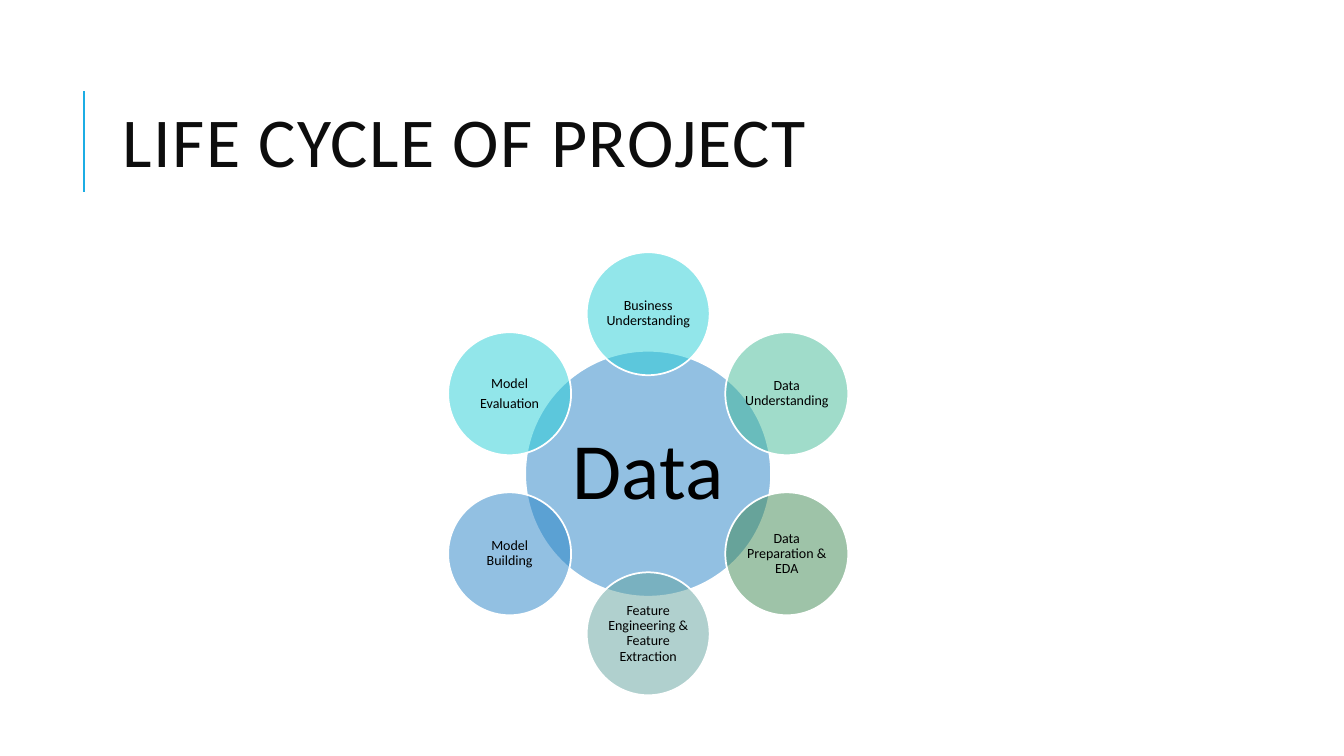
from math import cos, radians, sin

from lxml.etree import SubElement
from pptx import Presentation
from pptx.dml.color import RGBColor
from pptx.enum.shapes import MSO_CONNECTOR, MSO_SHAPE
from pptx.enum.text import MSO_ANCHOR, PP_ALIGN
from pptx.oxml.ns import qn
from pptx.util import Pt

BLACK = RGBColor(0x00, 0x00, 0x00)
WHITE = RGBColor(0xFF, 0xFF, 0xFF)
TITLE_COLOR = RGBColor(0x0D, 0x0D, 0x0D)
ACCENT = RGBColor(0x1C, 0xAD, 0xE4)
BLUE = RGBColor(0x26, 0x83, 0xC6)
TURQUOISE = RGBColor(0x27, 0xCE, 0xD7)
MINT = RGBColor(0x42, 0xBA, 0x97)
GREEN = RGBColor(0x3E, 0x88, 0x53)
TEAL = RGBColor(0x62, 0xA3, 0x9F)

FONT = "Calibri"
CENTER_X, CENTER_Y = 463, 338.4
ORBIT = 114.3
HUB_DIAMETER, STAGE_DIAMETER = 175.7, 87.85

# Clockwise from the top
STAGES = [
    (["Business Understanding"], TURQUOISE),
    (["Data Understanding"], MINT),
    (["Data Preparation & EDA"], GREEN),
    (["Feature Engineering & Feature Extraction"], TEAL),
    (["Model Building"], BLUE),
    (["Model", "Evaluation"], TURQUOISE),
]


def write_paragraph(paragraph, text, size, color, **paragraph_format):
    for name, value in paragraph_format.items():
        setattr(paragraph, name, value)
    run = paragraph.add_run()
    run.text = text
    run.font.name = FONT
    run.font.size = Pt(size)
    run.font.color.rgb = color
    return run


def set_frame(text_frame, inset):
    frame_format = {"word_wrap": True, "vertical_anchor": MSO_ANCHOR.MIDDLE}
    for side in ("left", "top", "right", "bottom"):
        frame_format[f"margin_{side}"] = Pt(inset)
    for name, value in frame_format.items():
        setattr(text_frame, name, value)


def add_title(slide, text):
    box = slide.shapes.add_textbox(Pt(80.6), Pt(46.1), Pt(765.4), Pt(118.1))
    set_frame(box.text_frame, 7.2)
    run = write_paragraph(box.text_frame.paragraphs[0], text, 50, TITLE_COLOR,
                          line_spacing=0.8)
    run.font._element.set("spc", "100")


def add_title_rule(slide):
    rule = slide.shapes.add_connector(
        MSO_CONNECTOR.STRAIGHT, Pt(60), Pt(136.8), Pt(60), Pt(64.8))
    rule.line.color.rgb = ACCENT
    rule.line.width = Pt(1.5)
    SubElement(rule._element.spPr, qn("a:effectLst"))


def add_circle(slide, center_x, center_y, diameter, color, lines, size, inset):
    """Add a half-transparent circle with centred text, one paragraph a line."""
    circle = slide.shapes.add_shape(
        MSO_SHAPE.OVAL, Pt(center_x - diameter / 2), Pt(center_y - diameter / 2),
        Pt(diameter), Pt(diameter))
    circle.shadow.inherit = False
    circle.fill.solid()
    circle.fill.fore_color.rgb = color
    color_element = circle._element.spPr.find(qn("a:solidFill"))[0]
    SubElement(color_element, qn("a:alpha"), val="50000")
    circle.line.color.rgb = WHITE
    circle.line.width = Pt(1.25)

    text_frame = circle.text_frame
    set_frame(text_frame, inset)
    for index, line in enumerate(lines):
        paragraph = text_frame.add_paragraph() if index else text_frame.paragraphs[0]
        write_paragraph(paragraph, line, size, BLACK, alignment=PP_ALIGN.CENTER,
                        line_spacing=0.9, space_before=Pt(3.5 if index else 0))


def add_cycle(slide):
    add_circle(slide, CENTER_X, CENTER_Y, HUB_DIAMETER, BLUE, ["Data"], 57, 5.76)
    for index, (lines, color) in enumerate(STAGES):
        angle = radians(index * 360 / len(STAGES) - 90)
        add_circle(slide, CENTER_X + ORBIT * cos(angle), CENTER_Y + ORBIT * sin(angle),
                   STAGE_DIAMETER, color, lines, 10, 0.72)


def main():
    presentation = Presentation()
    presentation.slide_width = Pt(960)
    presentation.slide_height = Pt(540)
    slide = presentation.slides.add_slide(presentation.slide_layouts[6])
    add_title_rule(slide)
    add_title(slide, "LIFE CYCLE OF PROJECT")
    add_cycle(slide)
    presentation.save("out.pptx")


if __name__ == "__main__":
    main()
